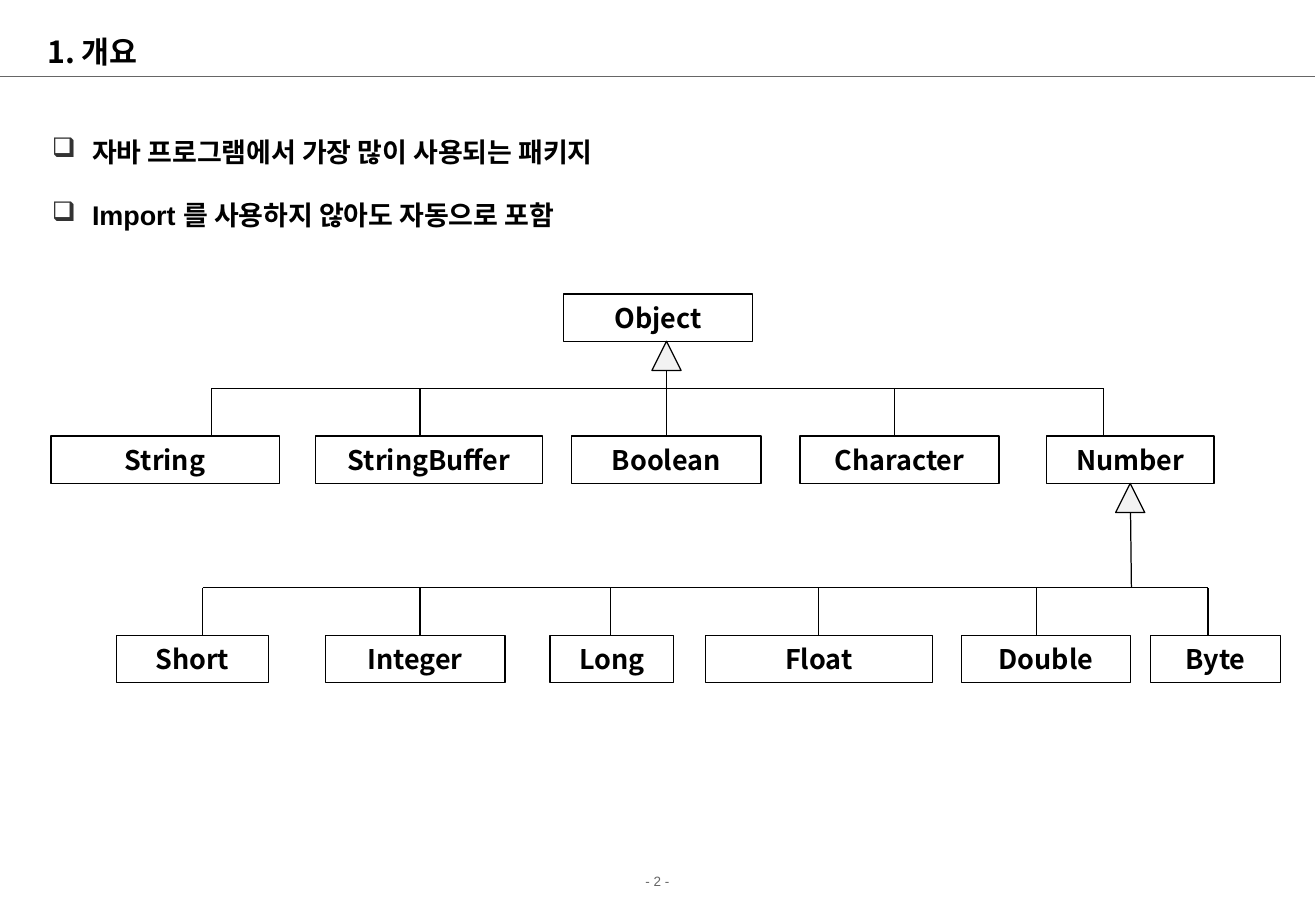
from lxml import etree
from pptx import Presentation
from pptx.dml.color import RGBColor
from pptx.enum.shapes import MSO_CONNECTOR, MSO_SHAPE
from pptx.enum.text import MSO_ANCHOR, PP_ALIGN
from pptx.oxml.ns import qn
from pptx.util import Inches, Pt

BLACK = RGBColor(0x00, 0x00, 0x00)
WHITE = RGBColor(0xFF, 0xFF, 0xFF)
GRAY = RGBColor(0x66, 0x66, 0x66)
LIGHT_GRAY = RGBColor(0xF2, 0xF2, 0xF2)
KOREAN_FONT = "Noto Sans CJK KR"
LATIN_FONT = "Arial"
CENTER = PP_ALIGN.CENTER
MIDDLE = MSO_ANCHOR.MIDDLE
STRAIGHT = MSO_CONNECTOR.STRAIGHT
RECTANGLE = MSO_SHAPE.RECTANGLE
TRIANGLE = MSO_SHAPE.ISOSCELES_TRIANGLE

BOX_HEIGHT = 0.39
ARROW_SIZE = 0.24

presentation = Presentation()
presentation.slide_width = Inches(10.84)
presentation.slide_height = Inches(7.5)
slide = presentation.slides.add_slide(presentation.slide_layouts[6])


def format_runs(paragraph, size, font_name, color=BLACK, bold=True):
    for run in paragraph.runs:
        run.font.size = Pt(size)
        run.font.name = font_name
        run.font.bold = bold
        run.font.color.rgb = color
        east_asian = etree.SubElement(run._r.get_or_add_rPr(), qn("a:ea"))
        east_asian.set("typeface", KOREAN_FONT)


def add_line(x1, y1, x2, y2, color=BLACK):
    line = slide.shapes.add_connector(
        STRAIGHT, Inches(x1), Inches(y1), Inches(x2), Inches(y2))
    line.line.color.rgb = color
    line.line.width = Pt(0.75)
    etree.SubElement(line._element.spPr, qn("a:effectLst"))
    return line


# Page number, header rule and title
page_number = slide.shapes.add_textbox(Inches(0), Inches(7.14), Inches(10.83), Inches(0.24))
page_number.text_frame.word_wrap = True
paragraph = page_number.text_frame.paragraphs[0]
paragraph.text = "- 2 -"
paragraph.alignment = CENTER
format_runs(paragraph, 8, LATIN_FONT, GRAY, bold=False)

add_line(0, 0.63, 10.83, 0.63, GRAY)

title = slide.shapes.add_textbox(Inches(0.29), Inches(0.21), Inches(10.17), Inches(0.42))
title.text_frame.word_wrap = True
title.text_frame.vertical_anchor = MIDDLE
paragraph = title.text_frame.paragraphs[0]
paragraph.text = "1. 개요"
format_runs(paragraph, 18, KOREAN_FONT)

# Bulleted points
points = slide.shapes.add_textbox(Inches(0.33), Inches(0.88), Inches(10.17), Inches(1.2))
points.text_frame.word_wrap = True
points.text_frame.text = "자바 프로그램에서 가장 많이 사용되는 패키지\nImport 를 사용하지 않아도 자동으로 포함"
for index, paragraph in enumerate(points.text_frame.paragraphs):
    paragraph.line_spacing = 1.7
    paragraph.space_before = Pt(5 if index else 0)
    properties = paragraph._p.get_or_add_pPr()
    properties.set("marL", str(Inches(0.33)))
    properties.set("indent", str(-Inches(0.33)))
    bullet_color = etree.SubElement(properties, qn("a:buClr"))
    etree.SubElement(bullet_color, qn("a:srgbClr")).set("val", "333333")
    etree.SubElement(properties, qn("a:buChar")).set("char", "❑")
    format_runs(paragraph, 16, LATIN_FONT)

# Class boxes: top of each level, then name, left and width
levels = [
    (2.42, [("Object", 4.64, 1.56)]),
    (3.59, [("String", 0.42, 1.88), ("StringBuffer", 2.6, 1.87), ("Boolean", 4.71, 1.56),
            ("Character", 6.59, 1.64), ("Number", 8.62, 1.38)]),
    (5.23, [("Short", 0.96, 1.25), ("Integer", 2.68, 1.48), ("Long", 4.53, 1.02),
            ("Float", 5.81, 1.87), ("Double", 7.92, 1.39), ("Byte", 9.48, 1.07)]),
]
for top, classes in levels:
    for name, left, width in classes:
        box = slide.shapes.add_shape(
            RECTANGLE, Inches(left), Inches(top), Inches(width), Inches(BOX_HEIGHT))
        box.shadow.inherit = False
        box.fill.solid()
        box.fill.fore_color.rgb = WHITE
        box.line.color.rgb = BLACK
        box.line.width = Pt(0.75)
        frame = box.text_frame
        frame.margin_left = frame.margin_right = frame.margin_top = frame.margin_bottom = 0
        frame.vertical_anchor = MIDDLE
        frame.text = name
        frame.paragraphs[0].alignment = CENTER
        format_runs(frame.paragraphs[0], 16, KOREAN_FONT)

# Inheritance trees: parent x, parent bottom, rail x, rail y, child x positions
trees = [
    (5.49, 2.81, 5.49, 3.2, [1.74, 3.46, 5.49, 7.37, 9.09]),
    (9.31, 3.98, 9.32, 4.84, [1.67, 3.46, 5.03, 6.74, 8.54, 9.95]),
]
for parent_x, parent_bottom, stem_x, rail_y, child_positions in trees:
    add_line(child_positions[0], rail_y, child_positions[-1], rail_y)
    for child_x in child_positions:
        add_line(child_x, rail_y, child_x, rail_y + BOX_HEIGHT)
    stem = add_line(parent_x, parent_bottom, stem_x, rail_y)
    etree.SubElement(stem.line._get_or_add_ln(), qn("a:headEnd")).set("type", "triangle")
    arrow = slide.shapes.add_shape(
        TRIANGLE, Inches(parent_x - ARROW_SIZE / 2), Inches(parent_bottom),
        Inches(ARROW_SIZE), Inches(ARROW_SIZE))
    arrow.shadow.inherit = False
    arrow.fill.solid()
    arrow.fill.fore_color.rgb = LIGHT_GRAY
    arrow.line.color.rgb = BLACK
    arrow.line.width = Pt(0.75)

presentation.save("out.pptx")
